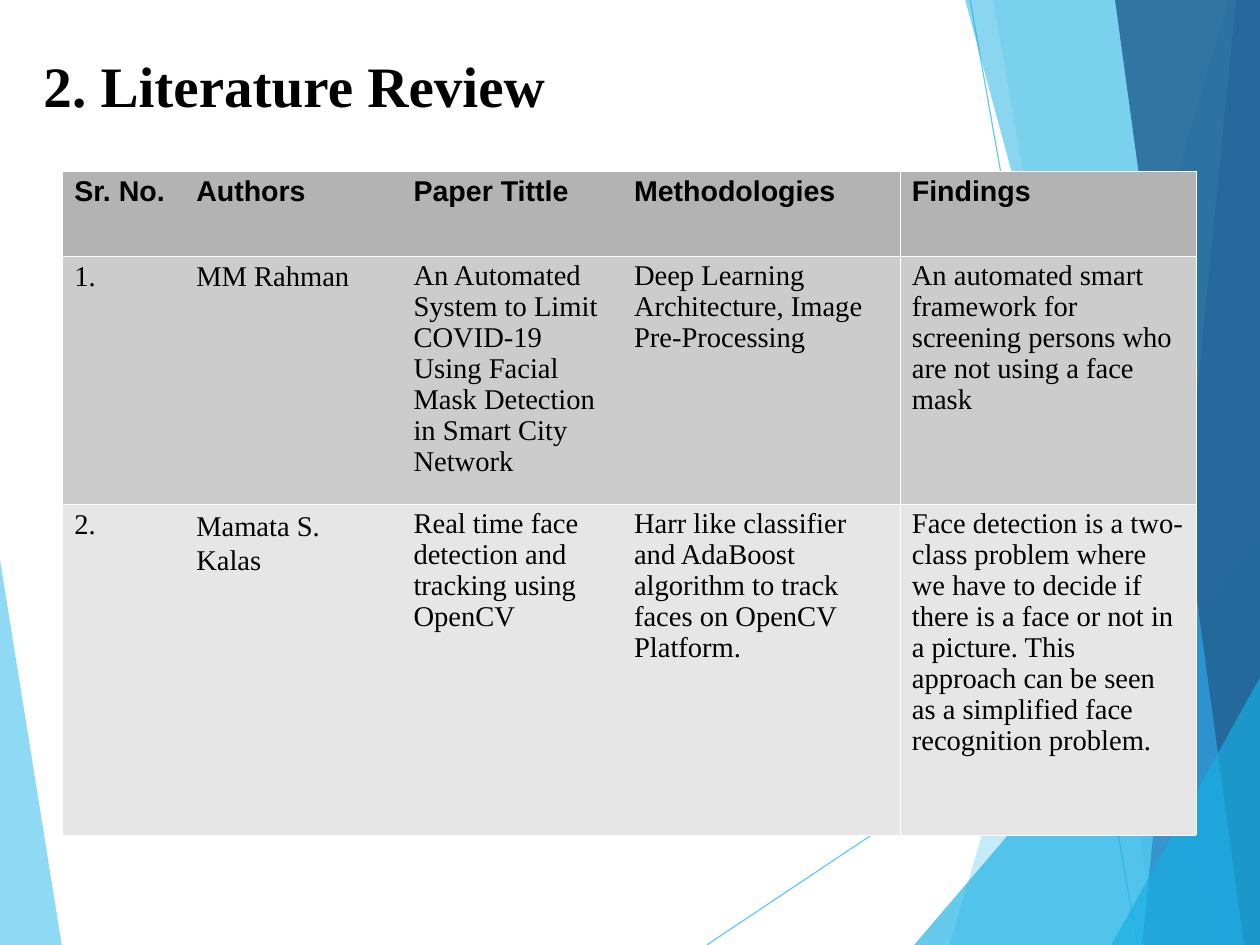
from dataclasses import dataclass

from lxml import etree
from pptx import Presentation
from pptx.dml.color import RGBColor
from pptx.enum.shapes import MSO_CONNECTOR
from pptx.enum.text import MSO_ANCHOR, MSO_AUTO_SIZE, PP_ALIGN
from pptx.oxml.ns import qn
from pptx.util import Inches, Pt

STRAIGHT = MSO_CONNECTOR.STRAIGHT
TOP = MSO_ANCHOR.TOP
LEFT = PP_ALIGN.LEFT
FIXED_SIZE = MSO_AUTO_SIZE.NONE
TITLE_ONLY = 5
PLAIN_TABLE = "{2D5ABB26-0587-4C30-8999-92F81FD0307C}"


@dataclass(frozen=True)
class Theme:
    serif: str = "Times New Roman"
    sans: str = "Arial"
    ink: str = "000000"
    rule: str = "FFFFFF"
    sky: str = "5FCAEE"
    cyan: str = "17AFE3"
    blue: str = "2D83C3"
    navy: str = "226192"
    row_fills: tuple = ("B3B3B3", "CCCCCC", "E6E6E6")
    title_size: int = 36
    table_size: int = 18
    hairline: float = 0.25
    accent_line: float = 0.75


THEME = Theme()


class SlideBuilder:
    """Draws on one slide; lengths are percentages of its width and height."""

    def __init__(self, deck, theme):
        self.theme = theme
        self.width, self.height = deck.slide_width, deck.slide_height
        self.page = deck.slides.add_slide(deck.slide_layouts[TITLE_ONLY])

    def across(self, share):
        return round(self.width * share / 100)

    def down(self, share):
        return round(self.height * share / 100)

    def style(self, span, font, size, bold):
        span.font.name = font
        span.font.size = Pt(size)
        span.font.bold = bold
        span.font.color.rgb = RGBColor.from_string(self.theme.ink)

    def facet(self, points, color, opacity):
        corners = [(self.across(x), self.down(y)) for x, y in points]
        outline = self.page.shapes.build_freeform(*corners[0])
        outline.add_line_segments(corners[1:], close=True)
        shape = outline.convert_to_shape()
        shape.shadow.inherit = False
        shape.line.fill.background()
        shape.fill.solid()
        shape.fill.fore_color.rgb = RGBColor.from_string(color)
        tint = next(shape._element.spPr.iter(qn("a:srgbClr")))
        etree.SubElement(tint, qn("a:alpha"), val=str(opacity * 1000))

    def line(self, start, end):
        connector = self.page.shapes.add_connector(
            STRAIGHT, self.across(start[0]), self.down(start[1]),
            self.across(end[0]), self.down(end[1]))
        connector.line.color.rgb = RGBColor.from_string(self.theme.sky)
        connector.line.width = Pt(self.theme.accent_line)
        etree.SubElement(connector._element.spPr, qn("a:effectLst"))

    def title(self, text, left, top, width, height):
        box = self.page.shapes.title
        box.left, box.top = self.across(left), self.down(top)
        box.width, box.height = self.across(width), self.down(height)
        frame = box.text_frame
        frame.text = text
        frame.word_wrap = True
        frame.auto_size = FIXED_SIZE
        frame.vertical_anchor = TOP
        frame.margin_left = frame.margin_right = frame.margin_bottom = 0
        frame.margin_top = Inches(0.01)
        para = frame.paragraphs[0]
        para.alignment = LEFT
        para.line_spacing = 1.0
        para.space_before = Pt(1)
        self.style(para.runs[0], self.theme.serif, self.theme.title_size, True)

    def borders(self, cell, sides):
        properties = cell._tc.get_or_add_tcPr()
        for side in sides:
            edge = etree.SubElement(properties, qn(f"a:ln{side}"),
                                    w=str(Pt(self.theme.hairline)))
            fill = etree.SubElement(edge, qn("a:solidFill"))
            etree.SubElement(fill, qn("a:srgbClr"), val=self.theme.rule)

    def cell(self, cell, text, fill, sides, indent, right, heading, spacing):
        self.borders(cell, sides)
        cell.fill.solid()
        cell.fill.fore_color.rgb = RGBColor.from_string(fill)
        cell.margin_left = cell.margin_right = cell.margin_bottom = 0
        cell.margin_top = Inches(0.04)
        cell.vertical_anchor = TOP
        cell.text_frame.text = text
        font = self.theme.sans if heading else self.theme.serif
        for index, para in enumerate(cell.text_frame.paragraphs):
            para.line_spacing = spacing
            para.space_before = Pt(0 if index else 3)
            margins = para._p.get_or_add_pPr()
            margins.set("marL", str(self.across(indent)))
            margins.set("marR", str(self.across(right)))
            for span in para.runs:
                self.style(span, font, self.theme.table_size, heading)

    def table(self, left, top, columns, heights, rows):
        frame = self.page.shapes.add_table(
            len(rows), len(columns), self.across(left), self.down(top),
            self.across(sum(column.width for column in columns)),
            self.down(sum(heights)))
        table = frame.table
        table.first_row = table.horz_banding = False
        table._tbl.tblPr.find(qn("a:tableStyleId")).text = PLAIN_TABLE
        for target, column in zip(table.columns, columns):
            target.width = self.across(column.width)
        for target, height in zip(table.rows, heights):
            target.height = self.down(height)
        for r, texts in enumerate(rows):
            for c, (column, text) in enumerate(zip(columns, texts)):
                self.cell(table.cell(r, c), text, self.theme.row_fills[r],
                          column.sides, column.indent, column.right[r],
                          r == 0, column.spacing[r])


@dataclass(frozen=True)
class Column:
    width: float
    indent: float
    right: tuple = (0, 0, 0)
    spacing: tuple = (1.0, 0.98, 0.98)
    sides: str = "TB"


COLUMNS = [
    Column(9.33, 0.9, spacing=(1.0, 1.0, 1.0)),
    Column(15.95, 1.25, spacing=(1.0, 1.0, Pt(21.2))),
    Column(18.6, 2.55, right=(0, 0.9, 2.7)),
    Column(22.6, 1.45, right=(0, 1.8, 1.8), sides="RTB"),
    Column(23.45, 0.9, right=(0, 1.45, 0.9), sides="LRTB"),
]
ROW_HEIGHTS = [9.05, 26.25, 34.95]
REVIEW_ROWS = [
    ["Sr. No.", "Authors", "Paper Tittle", "Methodologies", "Findings"],
    ["1.", "MM Rahman",
     "An Automated System to Limit COVID-19\n"
     "Using Facial Mask Detection in Smart City Network",
     "Deep Learning Architecture, Image Pre-Processing",
     "An automated smart framework for screening persons who are not using "
     "a face mask"],
    ["2.", "Mamata S. Kalas",
     "Real time face detection and tracking using OpenCV",
     "Harr like classifier and AdaBoost algorithm to track faces on OpenCV "
     "Platform.",
     "Face detection is a two- class problem where we have to decide if there "
     "is a face or not in a picture. This approach can be seen as a "
     "simplified face recognition problem."],
]


def band(top_x, bottom_x):
    """Full-height facet from a slanted edge to the right side."""
    return [(top_x, 0), (bottom_x, 100), (100, 100), (100, 0)]


def corner(top_y, bottom_x):
    """Triangle in the lower right corner."""
    return [(100, top_y), (bottom_x, 100), (100, 100)]


FACETS = [
    ([(0, 59.25), (0, 100), (4.9, 100)], THEME.sky, 70),
    (band(97.5, 75.35), THEME.sky, 36),
    (band(78.8, 91.95), THEME.sky, 20),
    (corner(57.2, 72.55), THEME.cyan, 66),
    (band(76.6, 96.9), THEME.cyan, 50),
    (band(98.1, 90.65), THEME.blue, 70),
    (band(88.5, 98.75), THEME.navy, 82),
    (corner(71.7, 88.2), THEME.cyan, 66),
]


def main():
    deck = Presentation()
    deck.slide_width, deck.slide_height = Inches(11.03), Inches(8.27)
    slide = SlideBuilder(deck, THEME)

    # Backdrop
    slide.line((56.1, 100), (100, 60.9))
    slide.line((77, 0), (90.3, 100))
    for points, color, opacity in FACETS:
        slide.facet(points, color, opacity)

    # Title and review table
    slide.title("2. Literature Review", 3.45, 5.2, 42, 7.6)
    slide.table(5, 18.1, COLUMNS, ROW_HEIGHTS, REVIEW_ROWS)

    deck.save("out.pptx")


if __name__ == "__main__":
    main()
